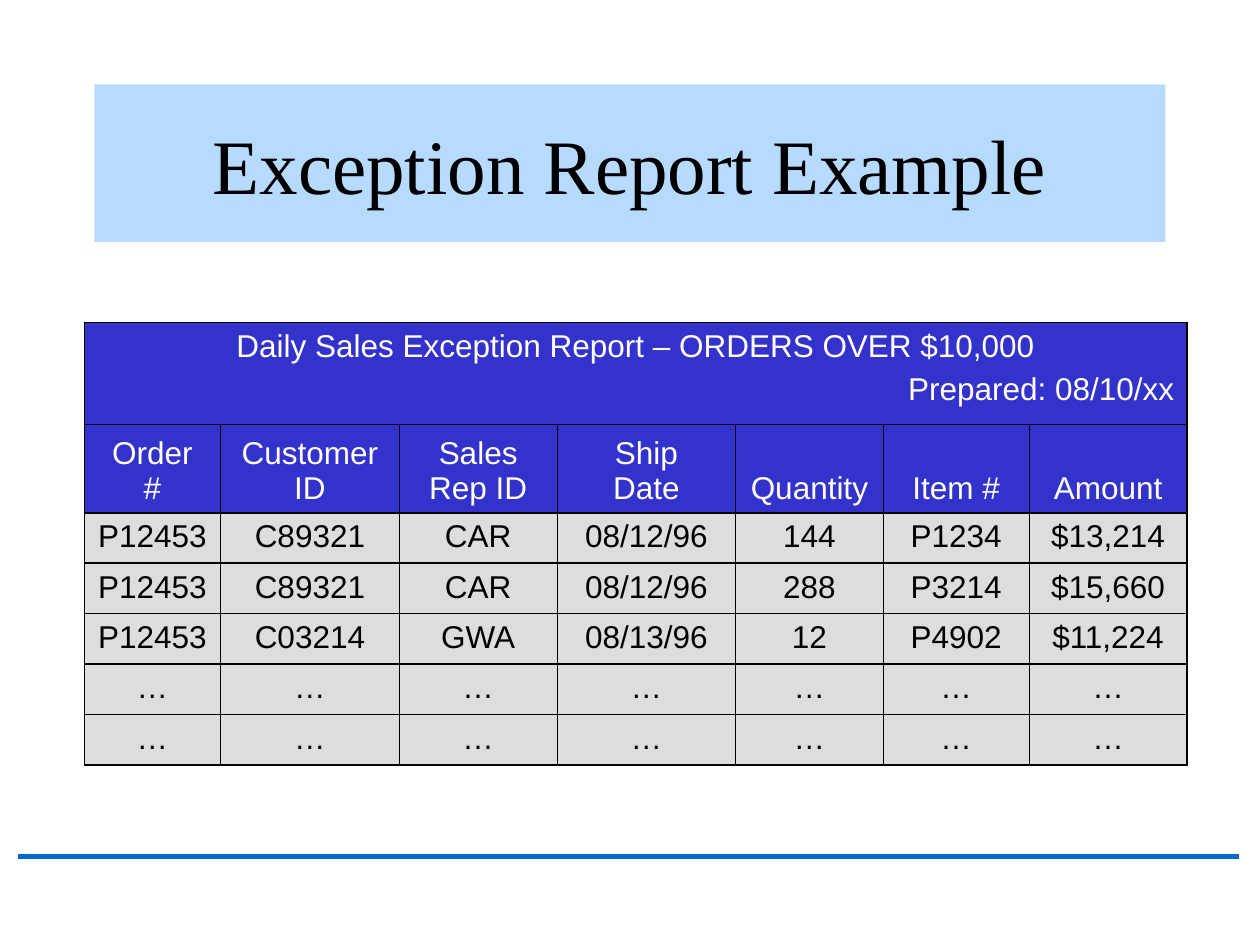
import dataclasses

import lxml.etree
import pptx
import pptx.dml.color
import pptx.enum.shapes
import pptx.enum.text
import pptx.oxml.ns
import pptx.slide
import pptx.table
import pptx.text.text
import pptx.util

Inches = pptx.util.Inches
Pt = pptx.util.Pt
Align = pptx.enum.text.PP_ALIGN
Anchor = pptx.enum.text.MSO_ANCHOR

BLACK, WHITE = "000000", "FFFFFF"
OUTER_BORDER, INNER_BORDER = 1.08, 0.45


@dataclasses.dataclass(frozen=True)
class RowStyle:
    """Look of one kind of table row."""
    fill: str
    color: str
    anchor: Anchor = Anchor.TOP


BANNER = RowStyle("3333CC", WHITE)
HEADING = RowStyle("3333CC", WHITE, Anchor.BOTTOM)
ORDER = RowStyle("DDDDDD", BLACK)

COLUMN_WIDTHS = [1.08, 1.42, 1.25, 1.42, 1.17, 1.16, 1.25]
BANNER_LINES = [
    ("Daily Sales Exception Report – ORDERS OVER $10,000", Align.CENTER),
    ("Prepared: 08/10/xx", Align.RIGHT),
]
HEADINGS = ["Order\v#", "Customer\vID", "Sales Rep ID", "Ship\vDate",
            "Quantity", "Item #", "Amount"]
ORDERS = [
    ["P12453", "C89321", "CAR", "08/12/96", "144", "P1234", "$13,214"],
    ["P12453", "C89321", "CAR", "08/12/96", "288", "P3214", "$15,660"],
    ["P12453", "C03214", "GWA", "08/13/96", "12", "P4902", "$11,224"],
] + [["…"] * len(HEADINGS)] * 2


def rgb(value: str) -> pptx.dml.color.RGBColor:
    """Turn a hex string into a colour."""
    return pptx.dml.color.RGBColor.from_string(value)


def write(paragraph: pptx.text.text._Paragraph, text: str, font: str,
          size: float, color: str, **layout: object) -> None:
    """Fill a paragraph with formatted text."""
    paragraph.text = text
    for name, value in layout.items():
        setattr(paragraph, name, value)
    for run in paragraph.runs:
        for name, value in {"name": font, "size": Pt(size)}.items():
            setattr(run.font, name, value)
        run.font.color.rgb = rgb(color)


def add_title(slide: pptx.slide.Slide) -> None:
    """Draw the title band."""
    title = slide.shapes.add_shape(
        pptx.enum.shapes.MSO_SHAPE.RECTANGLE,
        Inches(0.75), Inches(0.67), Inches(8.5), Inches(1.25))
    title.shadow.inherit = False
    title.fill.solid()
    title.fill.fore_color.rgb = rgb("B7DBFF")
    title.line.fill.background()
    title.text_frame.vertical_anchor = Anchor.MIDDLE
    write(title.text_frame.paragraphs[0], "Exception Report Example",
          "Times New Roman", 44, BLACK, alignment=Align.CENTER)


def add_footer_rule(slide: pptx.slide.Slide) -> None:
    """Draw the line along the foot of the slide."""
    rule = slide.shapes.add_connector(
        pptx.enum.shapes.MSO_CONNECTOR.STRAIGHT,
        Inches(0.14), Inches(6.8), Inches(9.83), Inches(6.8))
    rule.line.color.rgb = rgb("0069D2")
    rule.line.width = Pt(3)
    lxml.etree.SubElement(rule._element.spPr, pptx.oxml.ns.qn("a:effectLst"))


def set_borders(cell: pptx.table._Cell, widths: dict[str, float]) -> None:
    """Give a cell black borders, in the order L, R, T, B."""
    qn = pptx.oxml.ns.qn
    properties = cell._tc.get_or_add_tcPr()
    for position, (side, width) in enumerate(widths.items()):
        border = lxml.etree.Element(qn(f"a:ln{side}"), w=str(int(Pt(width))))
        fill = lxml.etree.SubElement(border, qn("a:solidFill"))
        lxml.etree.SubElement(fill, qn("a:srgbClr"), val=BLACK)
        properties.insert(position, border)


def style_cell(cell: pptx.table._Cell, style: RowStyle,
               first: bool, last: bool) -> None:
    """Apply fill, anchor and borders to a cell."""
    cell.fill.solid()
    cell.fill.fore_color.rgb = rgb(style.fill)
    cell.vertical_anchor = style.anchor
    set_borders(cell, {
        "L": OUTER_BORDER if first else INNER_BORDER,
        "R": OUTER_BORDER if last else INNER_BORDER,
        "T": OUTER_BORDER,
        "B": OUTER_BORDER,
    })


def write_cell(cell: pptx.table._Cell, lines: list[tuple[str, Align]],
               color: str) -> None:
    """Write aligned lines into a cell, one paragraph each."""
    frame = cell.text_frame
    for index, (text, alignment) in enumerate(lines):
        paragraph = frame.add_paragraph() if index else frame.paragraphs[0]
        write(paragraph, text, "Arial", 18, color,
              alignment=alignment, space_before=Pt(4.5))


def add_report(slide: pptx.slide.Slide) -> None:
    """Build the exception report table."""
    rows = [(HEADING, HEADINGS)] + [(ORDER, order) for order in ORDERS]
    heights = [0.81, 0.7] + [0.4] * len(ORDERS)
    report = slide.shapes.add_table(
        len(heights), len(COLUMN_WIDTHS), Inches(0.67), Inches(2.56),
        Inches(sum(COLUMN_WIDTHS)), Inches(sum(heights))).table
    report.first_row = report.horz_banding = False
    for column, width in zip(report.columns, COLUMN_WIDTHS):
        column.width = Inches(width)
    for row, height in zip(report.rows, heights):
        row.height = Inches(height)

    final = len(COLUMN_WIDTHS) - 1
    banner = report.cell(0, 0)
    banner.merge(report.cell(0, final))
    style_cell(banner, BANNER, True, True)
    write_cell(banner, BANNER_LINES, BANNER.color)
    for row_index, (style, texts) in enumerate(rows, start=1):
        for column_index, text in enumerate(texts):
            cell = report.cell(row_index, column_index)
            style_cell(cell, style, column_index == 0, column_index == final)
            write_cell(cell, [(text, Align.CENTER)], style.color)


def main() -> None:
    """Build and save the slide."""
    deck = pptx.Presentation()
    deck.slide_width, deck.slide_height = Inches(10), Inches(7.5)
    slide = deck.slides.add_slide(deck.slide_layouts[6])
    add_footer_rule(slide)
    add_title(slide)
    add_report(slide)
    deck.save("out.pptx")


main()
